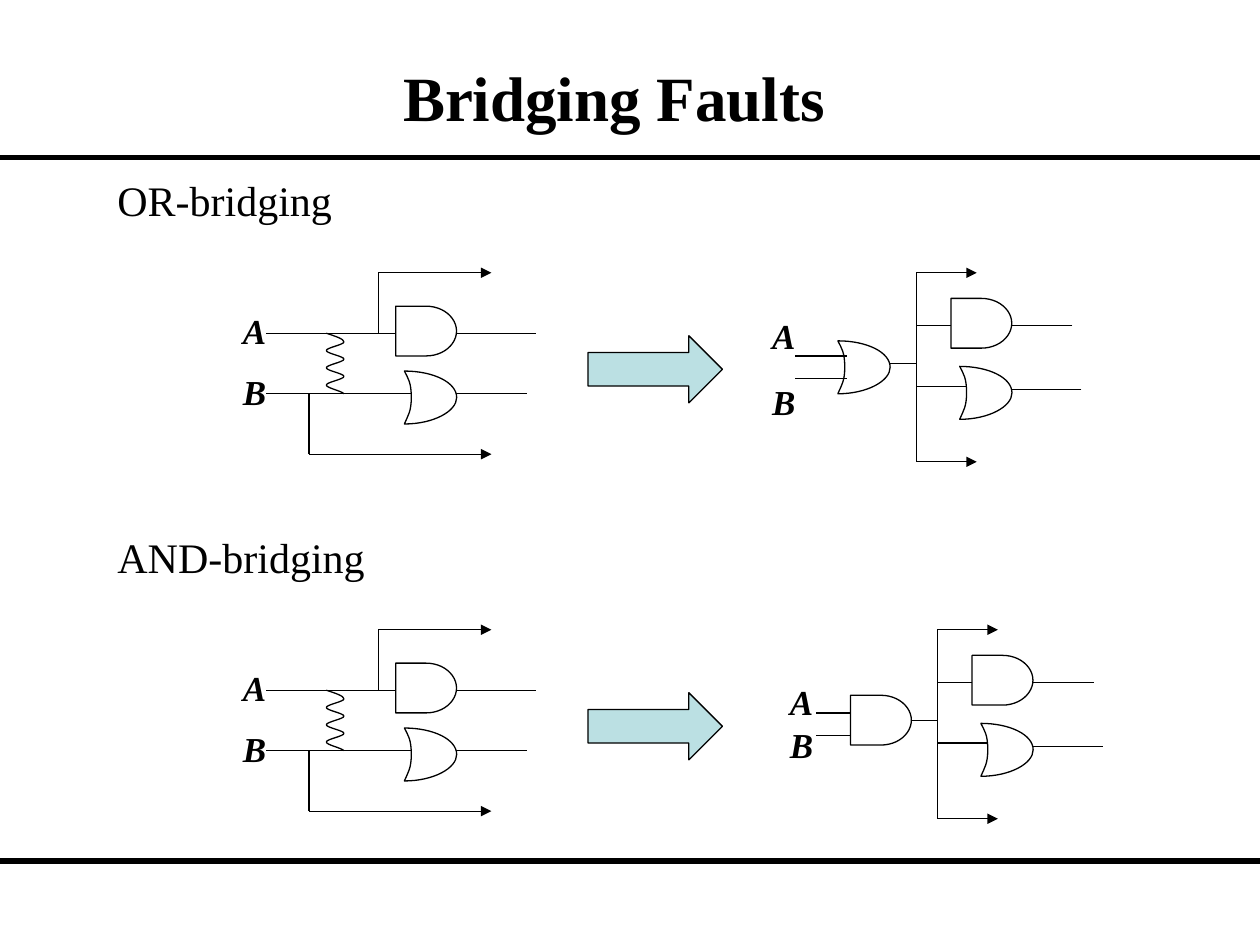
from dataclasses import dataclass

from lxml import etree
from pptx import Presentation
from pptx.dml.color import RGBColor
from pptx.enum.shapes import MSO_CONNECTOR, MSO_SHAPE
from pptx.enum.text import MSO_ANCHOR, PP_ALIGN
from pptx.oxml.ns import qn
from pptx.util import Inches, Pt

STRAIGHT = MSO_CONNECTOR.STRAIGHT
AND_GATE = MSO_SHAPE.FLOWCHART_DELAY
BLOCK_ARROW = MSO_SHAPE.RIGHT_ARROW
TOP = MSO_ANCHOR.TOP
LEFT, CENTER = PP_ALIGN.LEFT, PP_ALIGN.CENTER

COLUMNS, ROWS = 100, 75
GATE_WIDTH, GATE_HEIGHT = 4.83, 3.95
OR_OUTLINE = [
    (0, 4.2),
    (0.3, 3.5), (0.55, 3.2), (0.55, 2.1),
    (0.55, 0.9), (0.3, 0.6), (0, 0),
    (2.3, 0), (4.15, 0.9), (4.15, 2.1),
    (4.15, 3.2), (2.3, 4.2), (0, 4.2),
]


@dataclass(frozen=True)
class Theme:
    font: str = "Times New Roman"
    ink: RGBColor = RGBColor(0, 0, 0)
    paper: RGBColor = RGBColor(255, 255, 255)
    accent: RGBColor = RGBColor(0xBB, 0xE0, 0xE3)
    title: int = 36
    heading: int = 24
    signal: int = 20
    wire: float = 0.75
    rule: float = 3


def resistor_outline(width, height, bends=7):
    pitch = height / bends
    outline = [(0, 0)]
    for bend in range(bends):
        x0, x1 = (0, width) if bend % 2 == 0 else (width, 0)
        y0, y1 = bend * pitch, (bend + 1) * pitch
        leave = width / 2 if bend == 0 else x0
        arrive = width * 0.85 if bend == bends - 1 else x1
        outline += [(leave, y0 + pitch / 3), (arrive, y1 - pitch / 3), (x1, y1)]
    return outline


class CircuitSlide:
    def __init__(self, presentation, theme):
        self.theme = theme
        self.column = presentation.slide_width / COLUMNS
        self.row = presentation.slide_height / ROWS
        self.slide = presentation.slides.add_slide(presentation.slide_layouts[6])
        self.canvas = self.slide.shapes

    def group(self):
        self.canvas = self.slide.shapes.add_group_shape().shapes

    def ungroup(self):
        self.canvas = self.slide.shapes

    def place(self, x, y):
        return round(x * self.column), round(y * self.row)

    def text(self, x, y, width, height, lines, size, align=LEFT, gap=0, strong=False, slanted=False):
        box = self.canvas.add_textbox(*self.place(x, y), *self.place(width, height))
        frame = box.text_frame
        frame.word_wrap = True
        frame.vertical_anchor = TOP
        frame.text = "\n".join(lines)
        for index, paragraph in enumerate(frame.paragraphs):
            paragraph.alignment = align
            if len(lines) > 1:
                paragraph.line_spacing = 0.6
            if index:
                paragraph.space_before = Pt(gap)
            for run in paragraph.runs:
                run.font.name = self.theme.font
                run.font.size = Pt(size)
                run.font.bold = strong
                run.font.italic = slanted
                run.font.color.rgb = self.theme.ink

    def signals(self, x, y, width, height, gap):
        self.text(x, y, width, height, ["A", "B"], self.theme.signal, gap=gap, strong=True, slanted=True)

    def wire(self, x0, y0, x1, y1, arrow=False, weight=None):
        line = self.canvas.add_connector(STRAIGHT, *self.place(x0, y0), *self.place(x1, y1))
        line.line.color.rgb = self.theme.ink
        line.line.width = Pt(weight or self.theme.wire)
        if arrow:
            etree.SubElement(line.line._get_or_add_ln(), qn("a:tailEnd"), type="triangle")
        etree.SubElement(line._element.spPr, qn("a:effectLst"))

    def finish(self, shape, fill):
        shape.shadow.inherit = False
        if fill is None:
            shape.fill.background()
        else:
            shape.fill.solid()
            shape.fill.fore_color.rgb = fill
        shape.line.color.rgb = self.theme.ink
        shape.line.width = Pt(self.theme.wire)

    def preset(self, kind, x, y, width, height, fill):
        shape = self.canvas.add_shape(kind, *self.place(x, y), *self.place(width, height))
        self.finish(shape, fill)

    def and_gate(self, x, y):
        self.preset(AND_GATE, x, y, GATE_WIDTH, GATE_HEIGHT, self.theme.paper)

    def curve(self, x, y, outline, fill=None):
        points = [self.place(x + dx, y + dy) for dx, dy in outline]
        builder = self.canvas.build_freeform(*points[0])
        builder.add_line_segments(points[1:], close=fill is not None)
        shape = builder.convert_to_shape()
        segments = list(shape._element.iter(qn("a:lnTo")))
        for start in range(0, len(segments), 3):
            first, *others = segments[start:start + 3]
            first.tag = qn("a:cubicBezTo")
            for segment in others:
                first.append(segment[0])
                segment.getparent().remove(segment)
        self.finish(shape, fill)

    def or_gate(self, x, y):
        self.curve(x, y, OR_OUTLINE, self.theme.paper)

    def faulty_circuit(self, top, heading):
        line_a, line_b, bottom = (top + 4.8 * level for level in (1, 2, 3))
        self.group()
        self.wire(31.4, line_a, 21.1, line_a)
        self.wire(32.8, line_b, 21.1, line_b)
        self.wire(42.5, line_a, 36.3, line_a)
        self.wire(41.8, line_b, 35.6, line_b)
        self.or_gate(32.1, top + 7.8)
        self.signals(18.3, top + 3.6, 7.6, 9.8, gap=20.3)
        self.curve(25.9, line_a, resistor_outline(1.4, 4.8))
        self.and_gate(31.4, top + 2.65)
        self.wire(36.2, top, 30, top)
        self.wire(30.05, line_a, 30.05, top)
        self.wire(24.53, bottom, 24.53, line_b)
        self.wire(34.2, top, 39, top, arrow=True)
        self.wire(24.53, bottom, 39, bottom, arrow=True)
        self.text(8.33, top - 8.3, 24.2, 5, [heading], self.theme.heading)

    def equivalent_circuit(self, bus, top):
        self.group()
        self.and_gate(bus + 2.75, top + 2.03)
        self.wire(bus + 2.75, top + 4.2, bus, top + 4.2)
        self.wire(bus + 4.85, top + 9, bus, top + 9)
        self.wire(bus + 12.4, top + 4.2, bus + 7.6, top + 4.2)
        self.wire(bus + 13.1, top + 9.25, bus + 6.9, top + 9.25)
        self.or_gate(bus + 3.45, top + 7.43)
        self.wire(bus, top + 7.2, bus - 3.45, top + 7.2)
        self.wire(bus, top, bus, top + 15)
        for branch in (top + 15, top):
            self.wire(bus, branch, bus + 4.8, branch, arrow=True)
        self.preset(BLOCK_ARROW, 46.67, top + 5, 10.67, 5.33, self.theme.accent)

    def bridge_inputs(self, x, top):
        for level in (top + 6.6, top + 8.4):
            self.wire(x + 4.1, level, x, level)


def main():
    presentation = Presentation()
    presentation.slide_width, presentation.slide_height = Inches(10), Inches(7.5)
    theme = Theme()
    page = CircuitSlide(presentation, theme)
    or_top, and_top = 21.65, 49.98

    page.text(5.83, 4.17, 85.8, 16.2, ["Bridging Faults"], theme.title, CENTER, strong=True)
    page.faulty_circuit(or_top, "OR-bridging")
    page.faulty_circuit(and_top, "AND-bridging")

    page.equivalent_circuit(72.72, or_top)
    page.signals(60.3, or_top + 3.98, 4.1, 8.2, gap=23.3)
    page.or_gate(66.5, or_top + 5.4)
    page.bridge_inputs(63.1, or_top)

    page.equivalent_circuit(74.4, and_top)
    page.signals(61.7, and_top + 4.7, 4.1, 6.6, gap=10.5)
    page.bridge_inputs(64.8, and_top)
    page.and_gate(67.5, and_top + 5.2)

    page.ungroup()
    for level in (12.5, 68.33):
        page.wire(0, level, COLUMNS, level, weight=theme.rule)
    presentation.save("out.pptx")


if __name__ == "__main__":
    main()
